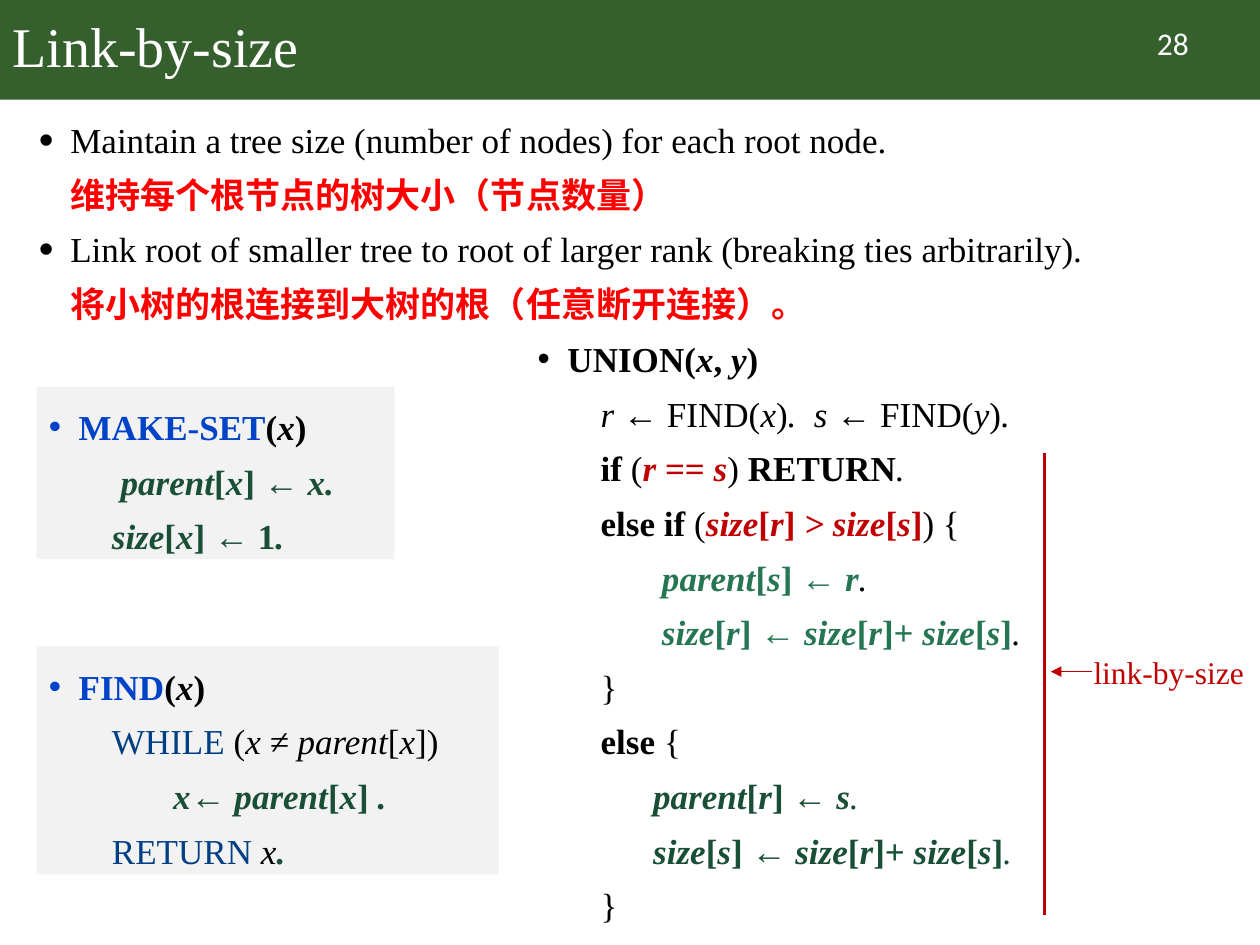
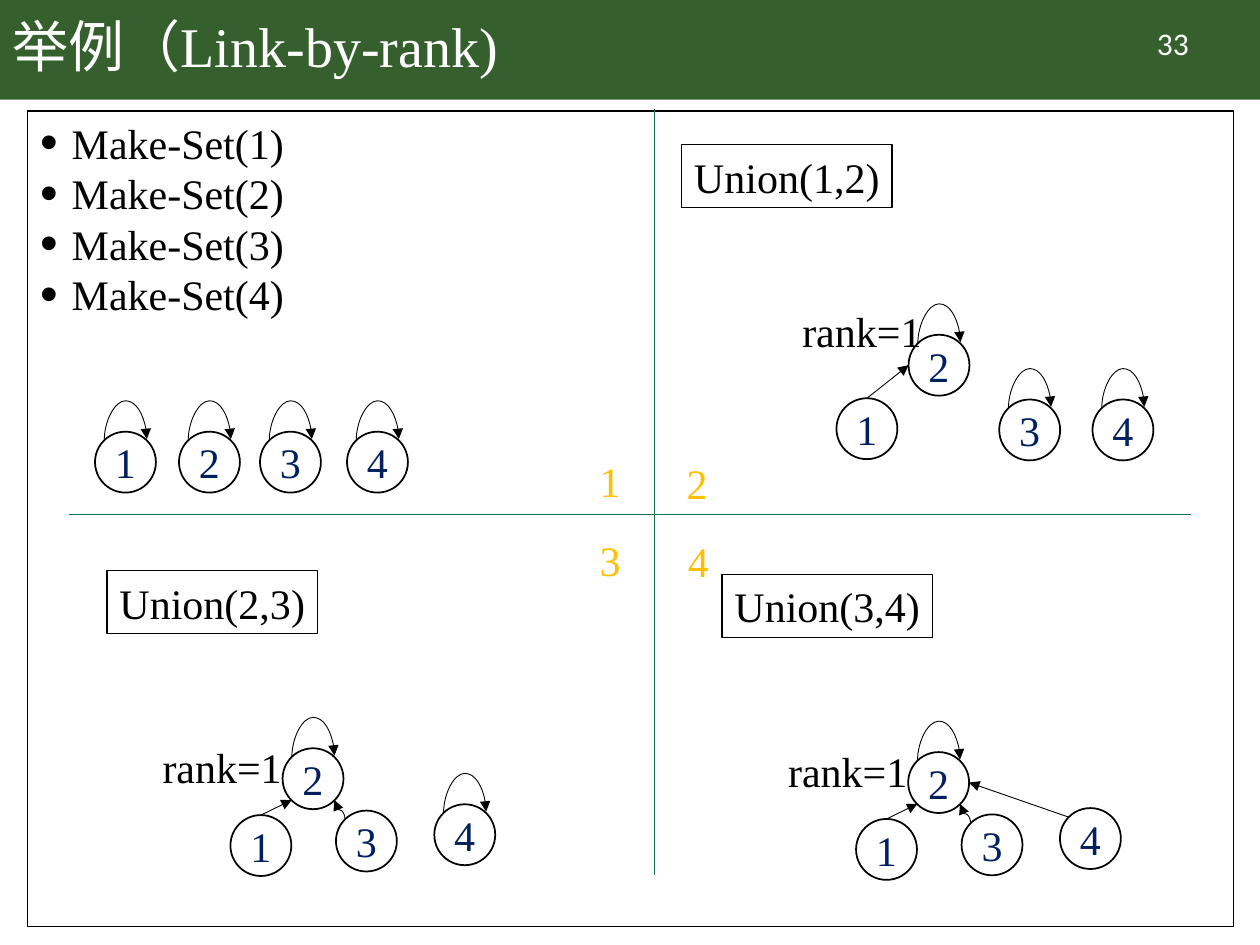
from dataclasses import dataclass
from enum import Enum
from itertools import groupby
from typing import NamedTuple, Optional

from lxml.etree import SubElement
from pptx import Presentation
from pptx.dml.color import RGBColor
from pptx.enum.shapes import MSO_CONNECTOR as Link, MSO_SHAPE as Preset
from pptx.enum.text import MSO_ANCHOR as Anchor, MSO_AUTO_SIZE as AutoSize, PP_ALIGN as Align
from pptx.oxml.ns import qn
from pptx.util import Pt

SERIF, SANS, CHINESE = "Times New Roman", "Calibri", "Noto Sans CJK SC"
BLACK, WHITE, BAND, PANEL = "000000", "FFFFFF", "365F2E", "F2F2F2"
RED, CRIMSON, GOLD, DIVIDER = "FF0000", "C00000", "FFC000", "16754D"
BLUE, NAVY, KEYWORD = "0042C8", "002060", "003F83"
GREEN, DARK_GREEN = "267653", "194F37"
BAND_HEIGHT = 56.9
DIAMETER = 34.8
UPRIGHT = "[]()←=+,1{}"


class Area(NamedTuple):
    left: float
    top: float
    width: float
    height: float


class Point(NamedTuple):
    x: float
    y: float


class Piece(NamedTuple):
    text: str
    color: str = BLACK
    bold: bool = False
    italic: bool = False
    font: str = SERIF


@dataclass
class Line:
    pieces: list[Piece]
    margin: float = 0
    hanging: float = 0
    bullet: bool = False
    large_bullet: bool = False
    spacing: float = 1.0
    align: Align = Align.LEFT


class Site(Enum):
    TOP = (0.5, 0)
    LEFT = (0, 0.5)
    RIGHT = (1, 0.5)
    UPPER_LEFT = (0.15, 0.15)
    UPPER_RIGHT = (0.85, 0.15)
    LOWER_LEFT = (0.15, 0.85)
    LOWER_RIGHT = (0.85, 0.85)


class Edge(NamedTuple):
    child: str
    start: Site
    end: Site
    curved: bool = False


@dataclass
class Forest:
    origin: Point
    nodes: dict[str, Point]
    loops: str
    edges: tuple[Edge, ...] = ()
    rank: Optional[Point] = None


def rgb(color: str) -> RGBColor:
    return RGBColor.from_string(color)


def points(values) -> list[Pt]:
    return [Pt(value) for value in values]


def formula(text: str, color: str = BLACK, bold: bool = False) -> list[Piece]:
    groups = groupby(text, key=lambda letter: letter in UPRIGHT)
    return [Piece("".join(letters), color, bold, not upright) for upright, letters in groups]


def write(shape, lines: list[Line], size: float, anchor: Anchor = Anchor.TOP, wrap: bool = True) -> None:
    frame = shape.text_frame
    frame.auto_size = AutoSize.NONE
    frame.word_wrap = wrap
    frame.vertical_anchor = anchor
    for index, line in enumerate(lines):
        para = frame.add_paragraph() if index else frame.paragraphs[0]
        props = para._p.get_or_add_pPr()
        props.set("marL", str(Pt(line.margin)))
        props.set("indent", str(Pt(-line.hanging)))
        if line.large_bullet:
            SubElement(SubElement(props, qn("a:buClr")), qn("a:srgbClr"), val=BLACK)
            SubElement(props, qn("a:buSzPct"), val="120000")
        if line.bullet:
            SubElement(props, qn("a:buFont"), typeface="Arial")
            SubElement(props, qn("a:buChar"), char="•")
        else:
            SubElement(props, qn("a:buNone"))
        para.alignment = line.align
        para.line_spacing = line.spacing
        para.space_before = para.space_after = Pt(0)
        for piece in line.pieces:
            span = para.add_run()
            span.text = piece.text
            font = span.font
            font.size, font.name = Pt(size), piece.font
            font.bold, font.italic = piece.bold, piece.italic
            font.color.rgb = rgb(piece.color)
            if piece.font == CHINESE:
                SubElement(font._element, qn("a:ea"), typeface=CHINESE)


def add_box(shapes, area: Area, preset: Preset = Preset.RECTANGLE,
            fill: Optional[str] = None, outline: Optional[float] = None):
    box = shapes.add_shape(preset, *points(area))
    box.shadow.inherit = False
    if fill:
        box.fill.solid()
        box.fill.fore_color.rgb = rgb(fill)
    else:
        box.fill.background()
    if outline:
        box.line.color.rgb = rgb(BLACK)
        box.line.width = Pt(outline)
    else:
        box.line.fill.background()
    return box


def add_label(shapes, area: Area, piece: Piece, size: float, wrap: bool = True,
              spacing: float = 1.0, align: Align = Align.LEFT) -> None:
    write(shapes.add_textbox(*points(area)), [Line([piece], spacing=spacing, align=align)], size, wrap=wrap)


def add_line(shapes, start: Point, end: Point, color: str = BLACK, width: float = 0.5,
             arrow: bool = False, kind: Link = Link.STRAIGHT):
    line = shapes.add_connector(kind, *points((*start, *end)))
    line.line.color.rgb = rgb(color)
    line.line.width = Pt(width)
    props = line.element.spPr
    if arrow:
        SubElement(props.find(qn("a:ln")), qn("a:tailEnd"), type="triangle")
    SubElement(props, qn("a:effectLst"))
    return line


def add_curve(shapes, start: Point, end: Point, rotation: int, flips: tuple[str, ...], bend: float) -> None:
    width, height = abs(end.y - start.y), abs(end.x - start.x)
    left, top = (start.x + end.x - width) / 2, (start.y + end.y - height) / 2
    curve = add_line(shapes, Point(left, top), Point(left + width, top + height), arrow=True, kind=Link.CURVE)
    frame = curve.element.spPr.find(qn("a:xfrm"))
    frame.set("rot", str(rotation * 60000))
    for flip in flips:
        frame.set(flip, "1")
    guides = curve.element.spPr.find(qn("a:prstGeom")).get_or_add_avLst()
    SubElement(guides, qn("a:gd"), name="adj1", fmla=f"val {round(bend * 100000)}")


def add_forest(slide, forest: Forest) -> None:
    shapes = slide.shapes.add_group_shape().shapes
    circles = {}

    def at(label: str, site: Site) -> Point:
        across, down = site.value
        offset = forest.nodes[label]
        return Point(forest.origin.x + offset.x + across * DIAMETER,
                     forest.origin.y + offset.y + down * DIAMETER)

    for label, offset in forest.nodes.items():
        area = Area(forest.origin.x + offset.x, forest.origin.y + offset.y, DIAMETER, DIAMETER)
        circle = add_box(shapes, area, Preset.OVAL, outline=1)
        frame = circle.text_frame
        frame.margin_left = frame.margin_right = 0
        write(circle, [Line([Piece(label, NAVY)], align=Align.CENTER)], 24, Anchor.MIDDLE)
        circles[label] = circle
    for edge in forest.edges:
        start, end = at(edge.child, edge.start), at("2", edge.end)
        if edge.curved:
            add_curve(shapes, start, end, 270, ("flipV",), 0.5)
            continue
        line = add_line(shapes, start, end, arrow=True)
        if edge.start is Site.TOP:
            line.begin_connect(circles[edge.child], 0)
    for label in forest.loops:
        start, end = at(label, Site.UPPER_LEFT), at(label, Site.UPPER_RIGHT)
        add_curve(shapes, start, Point(end.x, end.y - 1), 90, ("flipH", "flipV"), 23.07)
    if forest.rank:
        area = Area(forest.origin.x + forest.rank.x, forest.origin.y + forest.rank.y, 83.5, 36)
        add_label(shapes, area, Piece("rank=1"), 24, wrap=False)


def place(shape, area: Area) -> None:
    shape.left, shape.top, shape.width, shape.height = points(area)


def add_page(deck, title: list[Piece], number: str, body_area: Area, body: list[Line], size: float):
    page = deck.slides.add_slide(deck.slide_layouts[1])
    heading, content = page.placeholders
    place(heading, Area(0, 0, 620.6, BAND_HEIGHT))
    write(heading, [Line(title, spacing=0.9)], 32, Anchor.MIDDLE)
    place(content, body_area)
    write(content, body, size)
    add_label(page.shapes, Area(627, 10, 86.4, 28.8), Piece(number, WHITE, font=SANS), 18, align=Align.CENTER)
    return page


def add_master_band(deck, page) -> None:
    band = add_box(page.shapes, Area(0, 0, 720, BAND_HEIGHT), fill=BAND)
    band.element.nvSpPr.cNvPr.set("id", "90")
    deck.slide_master.shapes.element.insert(2, band.element)


def body_line(text: str, spacing: float = 1.0) -> Line:
    return Line([Piece(text)], 18, 28, True, True, spacing)


def chinese_line(text: str) -> Line:
    return Line([Piece(text, RED, True, font=CHINESE)], 18, spacing=1.3)


def head(name: str, arguments: str, color: str = BLACK) -> Line:
    return Line([Piece(name, color, True), *formula(arguments, bold=True)], 17, 17, True, spacing=1.3)


def step(*pieces: Piece, inner: float = 0) -> Line:
    return Line(list(pieces), 36 + inner, spacing=1.3)


def build_size_page(deck):
    page = add_page(deck, [Piece("Link-by-size", WHITE)], "28", Area(15, 57, 689, 466), [
        body_line("Maintain a tree size (number of nodes) for each root node.", 1.3),
        chinese_line("维持每个根节点的树大小（节点数量）"),
        body_line("Link root of smaller tree to root of larger rank (breaking ties arbitrarily).", 1.3),
        chinese_line("将小树的根连接到大树的根（任意断开连接）。"),
    ], 20)
    shapes = page.shapes
    stop, dark_stop = Piece(".", italic=True), Piece(".", DARK_GREEN, italic=True)
    union = [
        head("UNION", "(x, y)"),
        step(*formula("r ←"), Piece(" FIND"), *formula("(x).  s ←"), Piece(" FIND"), *formula("(y).")),
        step(Piece("if ", bold=True), Piece("("), *formula("r == s", CRIMSON, True),
             Piece(") "), Piece("RETURN", bold=True), stop),
        step(Piece("else if", bold=True), Piece(" ("), *formula("size[r] > size[s]", CRIMSON, True), Piece(") {")),
        step(*formula("parent[s] ← r", GREEN, True), stop, inner=35),
        step(*formula("size[r] ← size[r]+ size[s]", GREEN, True), stop, inner=35),
        step(Piece("}")),
        step(Piece("else ", bold=True), Piece("{")),
        step(*formula("parent[r] ← s", DARK_GREEN, True), dark_stop, inner=30),
        step(*formula("size[s] ← size[r]+ size[s]", DARK_GREEN, True), dark_stop, inner=30),
        step(Piece("}")),
    ]
    write(shapes.add_textbox(*points((300.2, 182.2, 404.6, 350.6))), union, 20)
    add_line(shapes, Point(597, 259), Point(597, 522.7), CRIMSON, 1.5)
    add_label(shapes, Area(617.8, 369.4, 102, 28.8), Piece("link-by-size", CRIMSON), 18, wrap=False)
    add_line(shapes, Point(624.2, 383.8), Point(600.5, 383.8), CRIMSON, arrow=True)
    make_set = [
        head("MAKE-SET", "(x)", BLUE),
        step(*formula("parent[x] ← x.", DARK_GREEN, True), inner=5),
        step(*formula("size[x] ← 1.", DARK_GREEN, True)),
    ]
    find = [
        head("FIND", "(x)", BLUE),
        step(Piece("WHILE ", KEYWORD), *formula("(x ≠ parent[x])")),
        step(*formula("x← parent[x] .", DARK_GREEN, True), inner=35),
        step(Piece("RETURN ", KEYWORD), *formula("x"), *formula(".", DARK_GREEN, True)),
    ]
    write(add_box(shapes, Area(20.9, 221, 204.5, 98.6), fill=PANEL), make_set, 20)
    write(add_box(shapes, Area(20.9, 369.4, 264.2, 130.3), fill=PANEL), find, 20)
    return page


def build_rank_page(deck) -> None:
    title = [Piece("举例", WHITE, font=CHINESE), Piece("（Link-by-rank)", WHITE)]
    body = [body_line(f"Make-Set({number})") for number in range(1, 5)]
    page = add_page(deck, title, "33", Area(15.8, 63.4, 689, 466), body, 24)
    shapes = page.shapes
    content = page.placeholders[1]
    content.line.color.rgb = rgb(BLACK)
    content.line.width = Pt(0.75)
    add_line(shapes, Point(39.6, 294), Point(680.4, 294), DIVIDER)
    add_line(shapes, Point(374, 62.4), Point(374, 500), DIVIDER)
    quadrants = ((335.5, 251.3), (385.2, 252), (335.5, 296), (386, 296.6))
    for number, corner in enumerate(quadrants, 1):
        add_label(shapes, Area(*corner, 43, 50), Piece(str(number), GOLD), 24, spacing=1.2)
    unions = {"Union(3,4)": (412.6, 328.3), "Union(2,3)": (61.2, 326.2), "Union(1,2)": (389.5, 82.8)}
    for text, corner in unions.items():
        box = add_box(shapes, Area(*corner, 120.2, 36), outline=0.75)
        write(box, [Line([Piece(text)])], 24, wrap=False)
    singles = {"1": Point(0, 0), "2": Point(48, 0), "3": Point(94.3, 0), "4": Point(144, 0)}
    pair = {"1": Point(-41.2, 36.3), "2": Point(0, 0), "3": Point(51.8, 37), "4": Point(105.1, 37)}
    tree = {"1": Point(-29.8, 38.2), "2": Point(0, 0), "3": Point(30.5, 35.6), "4": Point(86.7, 32)}
    first = Edge("1", Site.TOP, Site.LOWER_LEFT)
    third = Edge("3", Site.UPPER_LEFT, Site.LOWER_RIGHT, True)
    fourth = Edge("4", Site.UPPER_LEFT, Site.RIGHT)
    rank = Point(-75.7, -7.3)
    for forest in (
        Forest(Point(54.3, 246.7), singles, "1234"),
        Forest(Point(519.2, 191.3), pair, "234", (Edge("1", Site.TOP, Site.LEFT),), Point(-67.8, -20)),
        Forest(Point(161.5, 427.6), tree, "24", (first, third), rank),
        Forest(Point(519, 429.8), tree, "2", (first, third, fourth), rank),
    ):
        add_forest(page, forest)


def main() -> None:
    deck = Presentation()
    deck.slide_width, deck.slide_height = Pt(720), Pt(540)
    add_master_band(deck, build_size_page(deck))
    build_rank_page(deck)
    deck.save("out.pptx")


if __name__ == "__main__":
    main()
